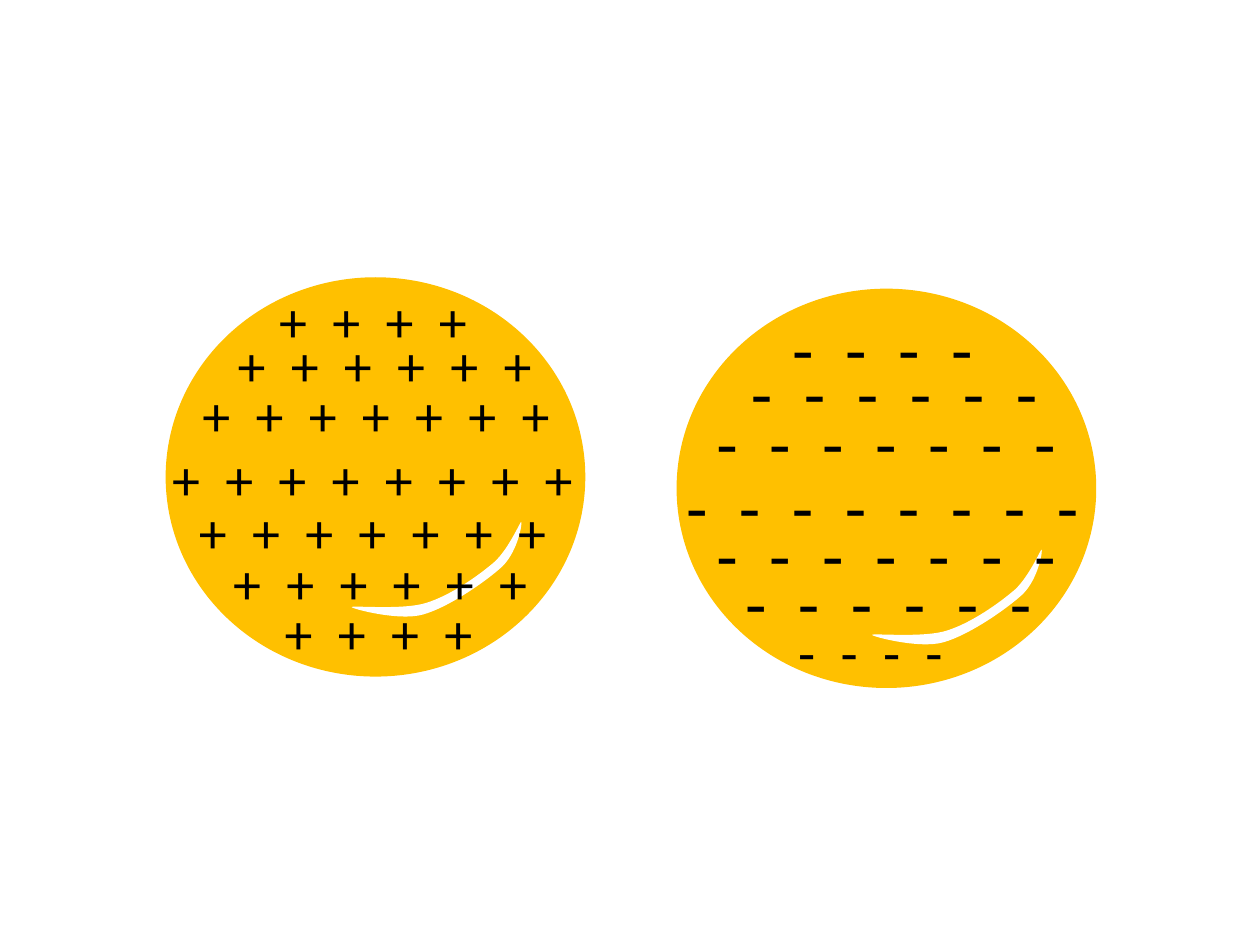
from pptx import Presentation
from pptx.dml.color import RGBColor
from pptx.enum.shapes import MSO_SHAPE as Preset
from pptx.enum.text import MSO_AUTO_SIZE as AutoSize
from pptx.oxml.ns import qn
from pptx.util import Cm, Pt

AMBER = RGBColor(0xFF, 0xC0, 0x00)
WHITE = RGBColor(0xFF, 0xFF, 0xFF)
BLACK = RGBColor(0x00, 0x00, 0x00)

BALL_WIDTH, BALL_HEIGHT = 8.46, 8.05
SHINE_ROTATION = 344.5

# Crescent outline in cm: a start point, then cubic curves (control, control, end)
SHINE_START = (0.03, 0.77)
SHINE_CURVES = [
    ((0, 0.79), (0.86, 1.3), (1.37, 1.3)),
    ((1.91, 1.3), (2.79, 0.99), (3.18, 0.79)),
    ((3.58, 0.56), (3.81, 0.03), (3.78, 0.03)),
    ((3.78, 0), (3.4, 0.48), (3.05, 0.66)),
    ((2.67, 0.84), (2.03, 1.07), (1.52, 1.09)),
    ((1.04, 1.12), (0.05, 0.74), SHINE_START),
]

# Rows of charges: left, top, number of signs
PLUS_ROWS = [
    (3.22, 8.84, 8),
    (3.83, 7.54, 7),
    (3.76, 9.91, 7),
    (4.45, 10.94, 6),
    (4.54, 6.54, 6),
    (5.38, 5.65, 4),
    (5.49, 11.94, 4),
]
MINUS_ROWS = [
    (13.58, 9.22, 8),
    (14.19, 7.92, 7),
    (14.89, 6.93, 6),
    (15.72, 6.03, 4),
    (14.19, 10.19, 7),
    (14.77, 11.15, 6),
]
LAST_MINUS_ROW = [(15.84, 12.32, 4)]


def bend_lines(shape):
    """Turn every three straight segments of a freeform into one cubic curve."""
    lines = list(shape._element.iter(qn("a:lnTo")))
    for first, second, end in zip(lines[::3], lines[1::3], lines[2::3]):
        curve = first.makeelement(qn("a:cubicBezTo"))
        first.addprevious(curve)
        for line in (first, second, end):
            curve.append(line[0])
            line.getparent().remove(line)


def write_text(frame, text, size=32, font="Calibri", color=BLACK):
    run = frame.paragraphs[0].add_run()
    run.text = text
    run.font.size = Pt(size)
    run.font.name = font
    run.font.color.rgb = color


class ChargeSlide:
    def __init__(self, slide):
        self.shapes = slide.shapes

    def paint(self, shape, color):
        shape.shadow.inherit = False
        shape.fill.solid()
        shape.fill.fore_color.rgb = color
        shape.line.fill.background()

    def ball(self, left, top):
        shape = self.shapes.add_shape(
            Preset.OVAL, Cm(left), Cm(top), Cm(BALL_WIDTH), Cm(BALL_HEIGHT))
        self.paint(shape, AMBER)

    def shine(self, left, top):
        points = [(Cm(x), Cm(y)) for curve in SHINE_CURVES for x, y in curve]
        builder = self.shapes.build_freeform(*points[-1])
        builder.add_line_segments(points, close=True)
        shape = builder.convert_to_shape(Cm(left), Cm(top))
        bend_lines(shape)
        shape.rotation = SHINE_ROTATION
        self.paint(shape, WHITE)

    def charges(self, sign, rows, size, pitch, height, trim=0):
        """Write rows of one sign; a row is as wide as its signs, less the trim."""
        for left, top, count in rows:
            box = self.shapes.add_textbox(
                Cm(left), Cm(top), Cm(pitch * count - trim), Cm(height))
            frame = box.text_frame
            frame.word_wrap = False
            frame.auto_size = AutoSize.SHAPE_TO_FIT_TEXT
            write_text(frame, "  ".join(sign * count), size=size)


def main():
    presentation = Presentation()
    presentation.slide_width, presentation.slide_height = Cm(25.4), Cm(19.05)
    blank = presentation.slide_layouts[6]
    slide = ChargeSlide(presentation.slides.add_slide(blank))

    slide.ball(13.64, 5.82)
    slide.shine(17.45, 11.53)
    slide.ball(3.34, 5.59)
    slide.shine(6.96, 10.97)

    slide.charges("+", PLUS_ROWS, size=32, pitch=1.09, height=1.63)
    slide.charges("-", MINUS_ROWS, size=40, pitch=1.07, height=1.96, trim=0.08)
    slide.charges("-", LAST_MINUS_ROW, size=32, pitch=0.88, height=1.63, trim=0.08)

    presentation.save("out.pptx")


if __name__ == "__main__":
    main()
